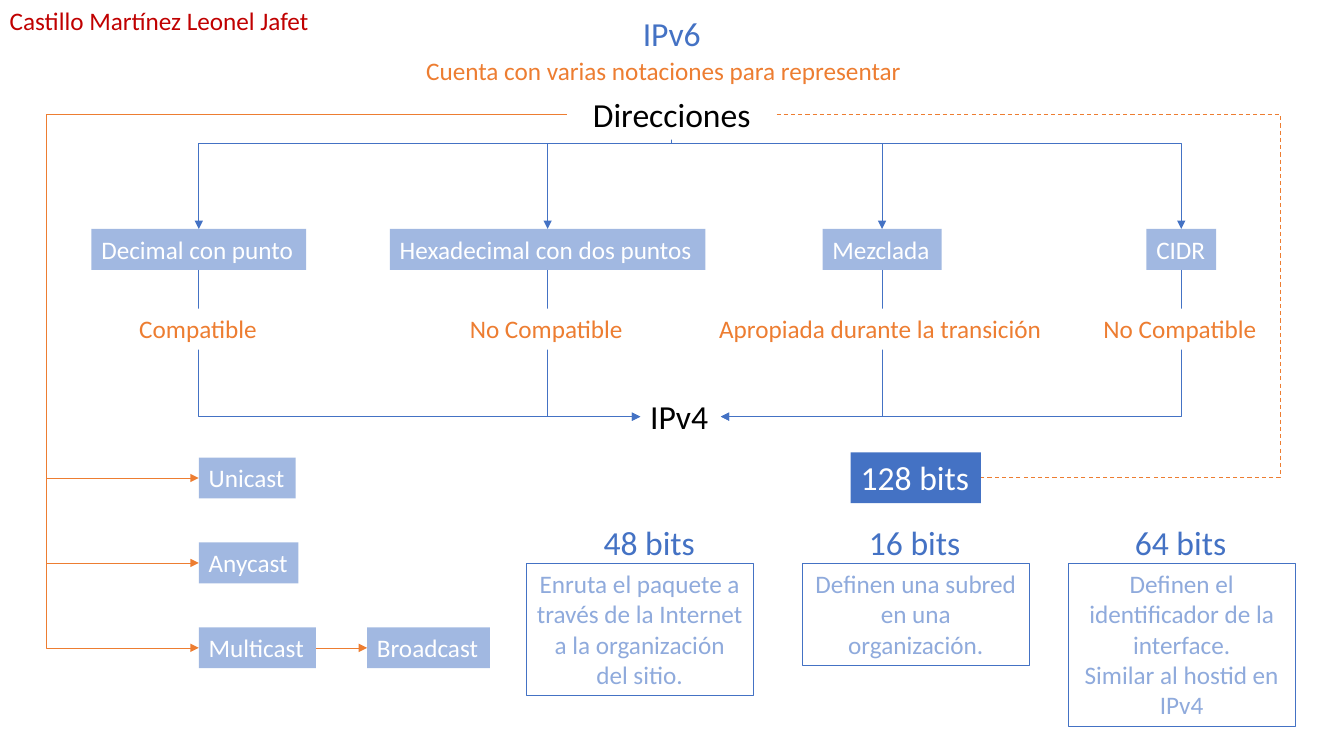
from lxml.etree import SubElement
from pptx import Presentation
from pptx.dml.color import RGBColor
from pptx.enum.dml import MSO_LINE
from pptx.enum.shapes import MSO_CONNECTOR
from pptx.enum.text import MSO_AUTO_SIZE, PP_ALIGN
from pptx.oxml.ns import qn
from pptx.util import Cm, Pt

COLORS = {
    "blue": "4472C4",
    "pale_blue": "8FAADC",
    "orange": "ED7D31",
    "red": "C00000",
    "black": "000000",
    "white": "FFFFFF",
}
TOP, LEFT, BOTTOM, RIGHT = range(4)
SMALL, LARGE = 18, 24
HEIGHTS = {SMALL: 1.03, LARGE: 1.28}


class ConceptMap:
    """Draws labels, framed notes and glued connectors on one slide."""

    font_name = "Calibri"

    def __init__(self, slide):
        self.slide = slide

    def color(self, name):
        return RGBColor.from_string(COLORS[name])

    def label(self, text, center, top, width, color, size=SMALL, fill=None,
              opacity=100, centered=False, wrap=False, height=None):
        """Place text in a box centred on a horizontal position, in cm."""
        shape = self.slide.shapes.add_textbox(
            Cm(center - width / 2), Cm(top), Cm(width), Cm(height or HEIGHTS[size]))
        frame = shape.text_frame
        frame.word_wrap = wrap
        frame.auto_size = MSO_AUTO_SIZE.SHAPE_TO_FIT_TEXT
        frame.text = text
        paragraph = frame.paragraphs[0]
        paragraph.alignment = PP_ALIGN.CENTER if centered else PP_ALIGN.LEFT
        paragraph.font.name = self.font_name
        paragraph.font.size = Pt(size)
        paragraph.font.color.rgb = self.color(color)
        if fill:
            shape.fill.solid()
            shape.fill.fore_color.rgb = self.color(fill)
        if opacity < 100:
            fill_color = shape.element.spPr.find(".//" + qn("a:srgbClr"))
            SubElement(fill_color, qn("a:alpha"), val=str(opacity * 1000))
        return shape

    def node(self, text, center, top, width):
        return self.label(text, center, top, width, "white", fill="blue", opacity=50)

    def note(self, text, center, top, width, height):
        shape = self.label(text, center, top, width, "pale_blue",
                           centered=True, wrap=True, height=height)
        shape.line.color.rgb = self.color("blue")
        shape.line.width = Pt(0.75)

    def connector(self, start, start_site, end, end_site, color, kind=MSO_CONNECTOR.ELBOW,
                  width=0.5, arrow=True, dashed=False):
        """Glue a line to two shapes and send it behind the labels."""
        connector = self.slide.shapes.add_connector(kind, 0, 0, 0, 0)
        connector.begin_connect(start, start_site)
        connector.end_connect(end, end_site)
        connector.line.color.rgb = self.color(color)
        connector.line.width = Pt(width)
        if dashed:
            connector.line.dash_style = MSO_LINE.DASH
        properties = connector.element.spPr
        if arrow:
            SubElement(properties.find(qn("a:ln")), qn("a:tailEnd"), type="triangle")
        SubElement(properties, qn("a:effectLst"))
        connector.element.getparent().insert(2, connector.element)
        return connector

    def side_elbow(self, start, start_site, end, end_site, bend, **style):
        """Leave sideways and turn at a horizontal position, in cm."""
        connector = self.connector(start, start_site, end, end_site, "orange", **style)
        ratio = (Cm(bend) - connector.begin_x) / (connector.end_x - connector.begin_x)
        geometry = connector.element.spPr.find(qn("a:prstGeom"))
        guides = geometry.find(qn("a:avLst"))
        SubElement(guides, qn("a:gd"), name="adj1", fmla=f"val {round(ratio * 100000)}")

    def drop_elbow(self, start, end, end_site, preset):
        """Leave downwards: the elbow preset turned by a quarter."""
        connector = self.connector(start, BOTTOM, end, end_site, "blue")
        to_right = connector.end_x > connector.begin_x
        left, top = connector.left, connector.top
        width, height = connector.width, connector.height
        connector.left = left + (width - height) // 2
        connector.top = top + (height - width) // 2
        connector.width, connector.height = height, width
        transform = connector.element.spPr.find(qn("a:xfrm"))
        transform.set("rot", str((270 if to_right else 90) * 60000))
        transform.set("flipH", str(int(to_right)))
        transform.set("flipV", "0")
        connector.element.spPr.find(qn("a:prstGeom")).set("prst", preset)


def draw_notations(concept_map, title):
    ipv4 = concept_map.label("IPv4", 17.15, 9.86, 2.03, "black", LARGE, wrap=True)
    notations = [
        ("Decimal con punto", 5.41, "Compatible", 3.5, 5.01, LEFT),
        ("Hexadecimal con dos puntos", 7.95, "No Compatible", 4.42, 13.8, LEFT),
        ("Mezclada", 3, "Apropiada durante la transición", 8.71, 22.23, RIGHT),
        ("CIDR", 1.76, "No Compatible", 4.42, 29.77, RIGHT),
    ]
    for name, width, relation, relation_width, center, ipv4_site in notations:
        node = concept_map.node(name, center, 5.77, width)
        concept_map.label(relation, center, 7.78, relation_width, "orange", fill="white")
        concept_map.drop_elbow(title, node, TOP, "bentConnector3")
        concept_map.drop_elbow(node, ipv4, ipv4_site, "bentConnector2")


def draw_address_types(concept_map, addresses):
    for row, (name, width) in enumerate(
            [("Unicast", 2.44), ("Anycast", 2.51), ("Multicast", 2.95)]):
        node = concept_map.node(name, 5.01 + width / 2, 11.53 + row * 2.14, width)
        concept_map.side_elbow(addresses, LEFT, node, LEFT, 1.17)
    broadcast = concept_map.node("Broadcast", 10.8, 15.81, 3.1)
    concept_map.connector(node, RIGHT, broadcast, LEFT, "orange", MSO_CONNECTOR.STRAIGHT)


def draw_bits(concept_map, addresses):
    total = concept_map.label("128 bits", 23.08, 11.4, 3.28, "white", LARGE, fill="blue")
    concept_map.side_elbow(addresses, RIGHT, total, RIGHT, 32.26,
                           width=0.75, arrow=False, dashed=True)
    parts = [
        ("48 bits", 16.38, 16.12, 3.33,
         "Enruta el paquete a través de la Internet a la organización del sitio."),
        ("16 bits", 23.07, 23.08, 2.57, "Definen una subred en una organización."),
        ("64 bits", 29.77, 29.78, 4.11,
         "Definen el identificador de la interface.\vSimilar al hostid en IPv4"),
    ]
    for bits, title_center, note_center, height, meaning in parts:
        concept_map.label(bits, title_center, 13.03, 2.84, "blue", LARGE)
        concept_map.note(meaning, note_center, 14.2, 5.72, height)


def main():
    presentation = Presentation()
    presentation.slide_width, presentation.slide_height = Cm(33.87), Cm(19.05)
    concept_map = ConceptMap(presentation.slides.add_slide(presentation.slide_layouts[6]))

    title = concept_map.label("IPv6", 16.93, 0.2, 2.46, "blue", LARGE,
                              centered=True, wrap=True)
    concept_map.label("Cuenta con varias notaciones para representar",
                      16.94, 1.27, 12.9, "orange", fill="white")
    addresses = concept_map.label("Direcciones", 16.93, 2.24, 5.28, "black", LARGE,
                                  fill="white", centered=True, wrap=True)
    draw_notations(concept_map, title)
    draw_address_types(concept_map, addresses)
    draw_bits(concept_map, addresses)
    concept_map.label("Castillo Martínez Leonel Jafet", 4.06, 0, 8.13, "red", fill="white")
    presentation.save("out.pptx")


if __name__ == "__main__":
    main()
